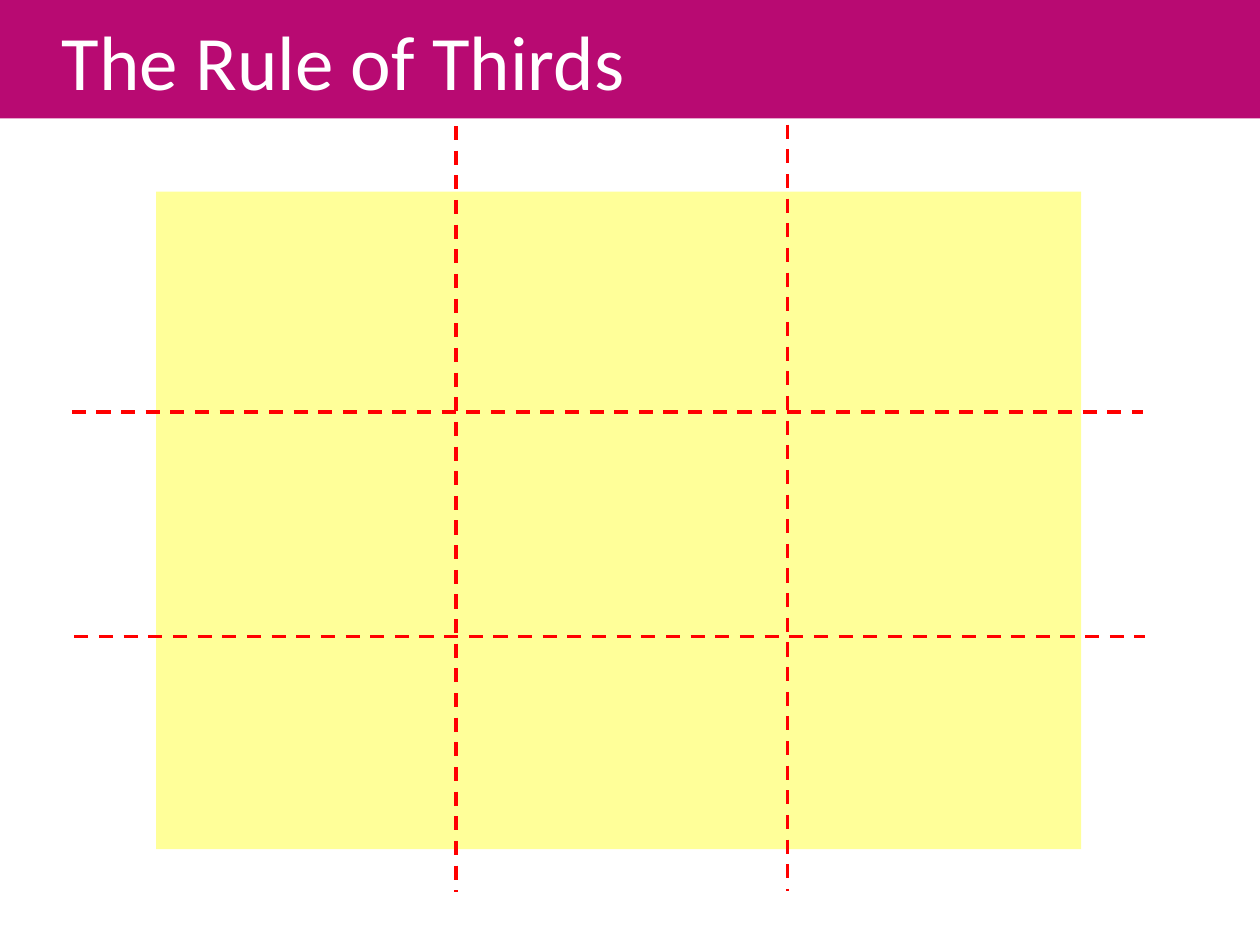
from lxml import etree
from pptx import Presentation
from pptx import util as u
from pptx.dml.color import RGBColor
from pptx.enum import dml, shapes, text
from pptx.oxml.ns import qn

W, H = 10, 7.5
TITLE = "The Rule of Thirds"
TITLE_FONT = {"name": "Calibri", "size": u.Pt(44), "bold": False}
TITLE_FRAME = {
    "margin_left": u.Inches(0.49),
    "vertical_anchor": text.MSO_ANCHOR.MIDDLE,
    "word_wrap": True,
    "auto_size": text.MSO_AUTO_SIZE.NONE,
}
BANNER = (0, 0, W, 0.94)
FRAME = (1.24, 1.52, 7.34, 5.22)
V_LENGTH, H_LENGTH = 6.08, 8.5
VERTICALS = [(3.62, 1), (6.25, 0.99)]    # top ends
HORIZONTALS = [(0.57, 3.27), (0.59, 5.05)]    # left ends
COLORS = {"banner": "B80A72", "title": "FFFFFF", "frame": "FFFF99", "guide": "FF0000"}


def color(name):
    return RGBColor.from_string(COLORS[name])


def set_all(target, values):
    for key, value in values.items():
        setattr(target, key, value)


def fill(sp, name):
    sp.fill.solid()
    sp.fill.fore_color.rgb = color(name)


def add_title(s):
    sp = s.shapes.title
    sp.left, sp.top, sp.width, sp.height = map(u.Inches, BANNER)
    fill(sp, "banner")
    tf = sp.text_frame
    tf.text = TITLE
    set_all(tf, TITLE_FRAME)
    p = tf.paragraphs[0]
    p.alignment = text.PP_ALIGN.LEFT
    set_all(p.runs[0].font, TITLE_FONT)
    p.runs[0].font.color.rgb = color("title")


def add_frame(s):
    sp = s.shapes.add_shape(shapes.MSO_SHAPE.RECTANGLE, *map(u.Inches, FRAME))
    sp.shadow.inherit = False
    fill(sp, "frame")
    sp.line.fill.background()


def add_guide(s, x, y, dx, dy):
    ends = map(u.Inches, (x, y, x + dx, y + dy))
    guide = s.shapes.add_connector(shapes.MSO_CONNECTOR.STRAIGHT, *ends)
    set_all(guide.line, {"width": u.Pt(2), "dash_style": dml.MSO_LINE.DASH})
    guide.line.color.rgb = color("guide")
    etree.SubElement(guide._element.spPr, qn("a:effectLst"))


def main():
    prs = Presentation()
    prs.slide_width, prs.slide_height = u.Inches(W), u.Inches(H)
    s = prs.slides.add_slide(prs.slide_layouts[5])
    add_title(s)
    add_frame(s)
    for x, y in VERTICALS:
        add_guide(s, x, y, 0, V_LENGTH)
    for x, y in HORIZONTALS:
        add_guide(s, x, y, H_LENGTH, 0)
    prs.save("out.pptx")


if __name__ == "__main__":
    main()
